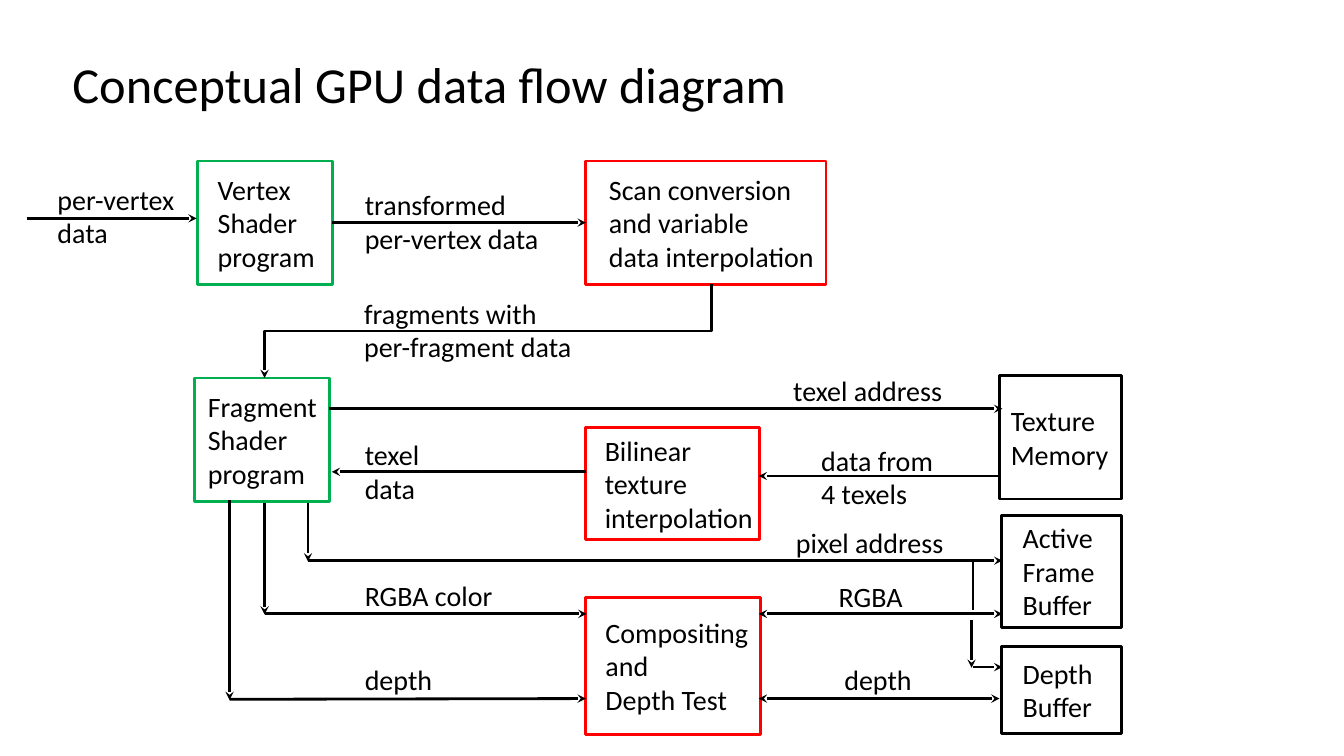
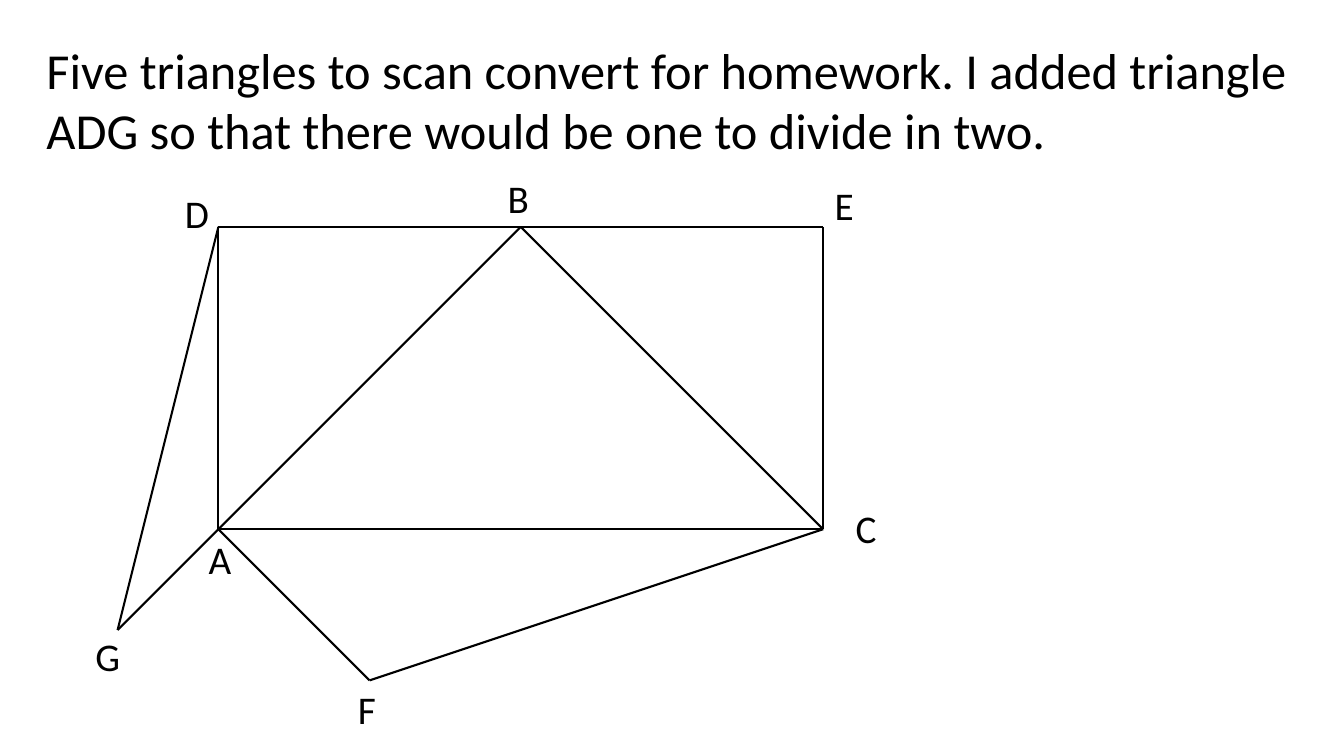
from pptx import Presentation
from pptx.dml.color import RGBColor
from pptx.enum.shapes import MSO_CONNECTOR as Connector, MSO_SHAPE as Shape
from pptx.enum.text import MSO_ANCHOR as Anchor, MSO_AUTO_SIZE as AutoSize, PP_ALIGN as Align
from pptx.oxml.ns import qn
from pptx.util import Pt
from lxml.etree import SubElement

BLACK, GREEN, RED = "000000", "00B050", "FF0000"
FONT = "Calibri"
TITLE_SIZE, FLOW_SIZE, VERTEX_SIZE = 36, 20, 28
FLOW_WIDTH, EDGE_WIDTH = 2, 1.5
INSET_X, INSET_Y = 7.2, 3.6

# colour, left, top, width, height, text inset, text
STAGES = [
    (GREEN, 141, 115, 96.5, 88, 14.5, "Vertex\nShader\nprogram"),
    (RED, 418.5, 115, 171.5, 88, 16.5, "Scan conversion\nand variable\ndata interpolation"),
    (GREEN, 139, 270, 96.5, 88, 9.5, "Fragment\nShader\nprogram"),
    (RED, 418.5, 305.5, 124, 80, 13.5, "Bilinear\ntexture\ninterpolation"),
    (RED, 418.5, 426.5, 124.5, 98, 14, "Compositing\nand\nDepth Test"),
    (BLACK, 714, 268.5, 87, 88, 8, "Texture\nMemory"),
    (BLACK, 715.5, 368, 85.5, 80, 15, "Active\nFrame\nBuffer"),
    (BLACK, 715.5, 461.5, 85.5, 62.5, 15, "Depth\nBuffer"),
]

# left, top, text
FLOW_LABELS = [
    (34, 126.5, "per-vertex\ndata"),
    (253.5, 130.5, "transformed\nper-vertex data"),
    (253, 208, "fragments with\nper-fragment data"),
    (559.5, 263, "texel address"),
    (253.5, 309, "texel\ndata"),
    (579.5, 313, "data from\n4 texels"),
    (561.5, 371.5, "pixel address"),
    (253.5, 409.5, "RGBA color"),
    (592, 410.5, "RGBA"),
    (253.5, 470, "depth"),
    (596, 470, "depth"),
]

# start, end, ends that carry an arrowhead
FLOWS = [
    ((19, 156), (140.5, 156), ["tail"]),
    ((237, 159), (418.5, 159), ["tail"]),
    ((235, 292), (716, 292), ["tail"]),
    ((715, 340), (542, 340), ["tail"]),
    ((418.5, 337), (237, 337), ["tail"]),
    ((220, 359.5), (220, 401), ["tail"]),
    ((220, 400.5), (716, 400.5), ["tail"]),
    ((189, 359), (189, 439), ["tail"]),
    ((189, 438.5), (419, 438.5), ["tail"]),
    ((164, 357), (164, 500), ["tail"]),
    ((164, 499.5), (418.5, 499), ["tail"]),
    ((542, 438.5), (716, 438.5), ["head", "tail"]),
    ((542, 499), (714, 499), ["head", "tail"]),
    ((695, 401), (695, 436), []),
    ((694, 443), (694, 477), ["tail"]),
    ((695, 476.5), (716, 476.5), ["tail"]),
]

VERTICES = {
    "A": (156, 378), "B": (372, 162), "C": (588, 378), "D": (156, 162),
    "E": (588, 162), "F": (264, 486), "G": (84, 450),
}
EDGES = ["AF", "AD", "DB", "BE", "EC", "CA", "BC", "BA", "CF", "AG", "DG"]
VERTEX_LABELS = {
    "A": (142, 378.5), "B": (355.5, 121), "C": (604, 357), "D": (125, 132),
    "E": (589, 126), "F": (248.5, 486), "G": (61, 448),
}


def colour(code):
    return RGBColor.from_string(code)


def set_values(target, values):
    for name, value in values.items():
        setattr(target, name, value)


def place(shape, left, top, width, height):
    set_values(shape, {"left": Pt(left), "top": Pt(top),
                       "width": Pt(width), "height": Pt(height)})


def write(shape, text, size, anchor=Anchor.TOP, inset=INSET_X, right=INSET_X):
    """Fill a shape with left-aligned text, one paragraph for each line."""
    frame = shape.text_frame
    frame.text = text
    set_values(frame, {
        "word_wrap": True, "auto_size": AutoSize.NONE, "vertical_anchor": anchor,
        "margin_left": Pt(inset), "margin_right": Pt(right),
        "margin_top": Pt(INSET_Y), "margin_bottom": Pt(INSET_Y),
    })
    for para in frame.paragraphs:
        set_values(para, {"alignment": Align.LEFT, "line_spacing": 1.0,
                          "space_before": Pt(0)})
        for span in para.runs:
            set_values(span.font, {"name": FONT, "size": Pt(size)})
            span.font.color.rgb = colour(BLACK)


def add_page(deck, title, left, top, width, height):
    page = deck.slides.add_slide(deck.slide_layouts.get_by_name("Title Only"))
    place(page.shapes.title, left, top, width, height)
    write(page.shapes.title, title, TITLE_SIZE)
    return page


def add_label(page, left, top, text, size, width):
    height = 1.22 * size * len(text.split("\n")) + 2 * INSET_Y
    box = page.shapes.add_textbox(Pt(left), Pt(top), Pt(width), Pt(height))
    write(box, text, size)


def add_stage(page, line_colour, left, top, width, height, inset, text):
    box = page.shapes.add_shape(Shape.RECTANGLE, Pt(left), Pt(top), Pt(width), Pt(height))
    box.shadow.inherit = False
    box.fill.background()
    box.line.color.rgb = colour(line_colour)
    box.line.width = Pt(FLOW_WIDTH)
    write(box, text, FLOW_SIZE, Anchor.MIDDLE, inset, right=0)


def add_line(page, start, end, width, arrows=(), kind=Connector.STRAIGHT):
    """Draw a black connector; arrows names the ends with a stealth head."""
    line = page.shapes.add_connector(kind, *map(Pt, start + end))
    line.line.color.rgb = colour(BLACK)
    line.line.width = Pt(width)
    outline = line.line._get_or_add_ln()
    for side in arrows:
        SubElement(outline, qn(f"a:{side}End"), type="stealth")
    SubElement(line._element.spPr, qn("a:effectLst"))
    return line


def add_down_elbow(page, start, end):
    """Draw an arrow that goes down, left and down again: an elbow turned by 90 degrees."""
    (x1, y1), (x2, y2) = start, end
    middle_x, middle_y = (x1 + x2) / 2, (y1 + y2) / 2
    half_drop, half_run = (y2 - y1) / 2, (x1 - x2) / 2
    elbow = add_line(page, (middle_x - half_drop, middle_y - half_run),
                     (middle_x + half_drop, middle_y + half_run),
                     FLOW_WIDTH, ["tail"], Connector.ELBOW)
    elbow._element.spPr.find(qn("a:xfrm")).set("rot", str(90 * 60000))


def add_data_flow_page(deck):
    page = add_page(deck, "Conceptual GPU data flow diagram", 44.5, 34.5, 620, 51)
    for stage in STAGES:
        add_stage(page, *stage)
    for start, end, arrows in FLOWS:
        add_line(page, start, end, FLOW_WIDTH, arrows)
    add_down_elbow(page, (508, 203), (189, 270))
    for left, top, text in FLOW_LABELS:
        add_label(page, left, top, text, FLOW_SIZE, 180)


def add_triangles_page(deck):
    page = add_page(deck, "Five triangles to scan convert for homework. I added triangle\n"
                    "ADG so that there would be one to divide in two.", 26, 24, 930, 94)
    for first, second in EDGES:
        add_line(page, VERTICES[first], VERTICES[second], EDGE_WIDTH)
    for name, (left, top) in VERTEX_LABELS.items():
        add_label(page, left, top, name, VERTEX_SIZE, 40)


def main():
    deck = Presentation()
    set_values(deck, {"slide_width": Pt(960), "slide_height": Pt(540)})
    add_data_flow_page(deck)
    add_triangles_page(deck)
    deck.save("out.pptx")


if __name__ == "__main__":
    main()
